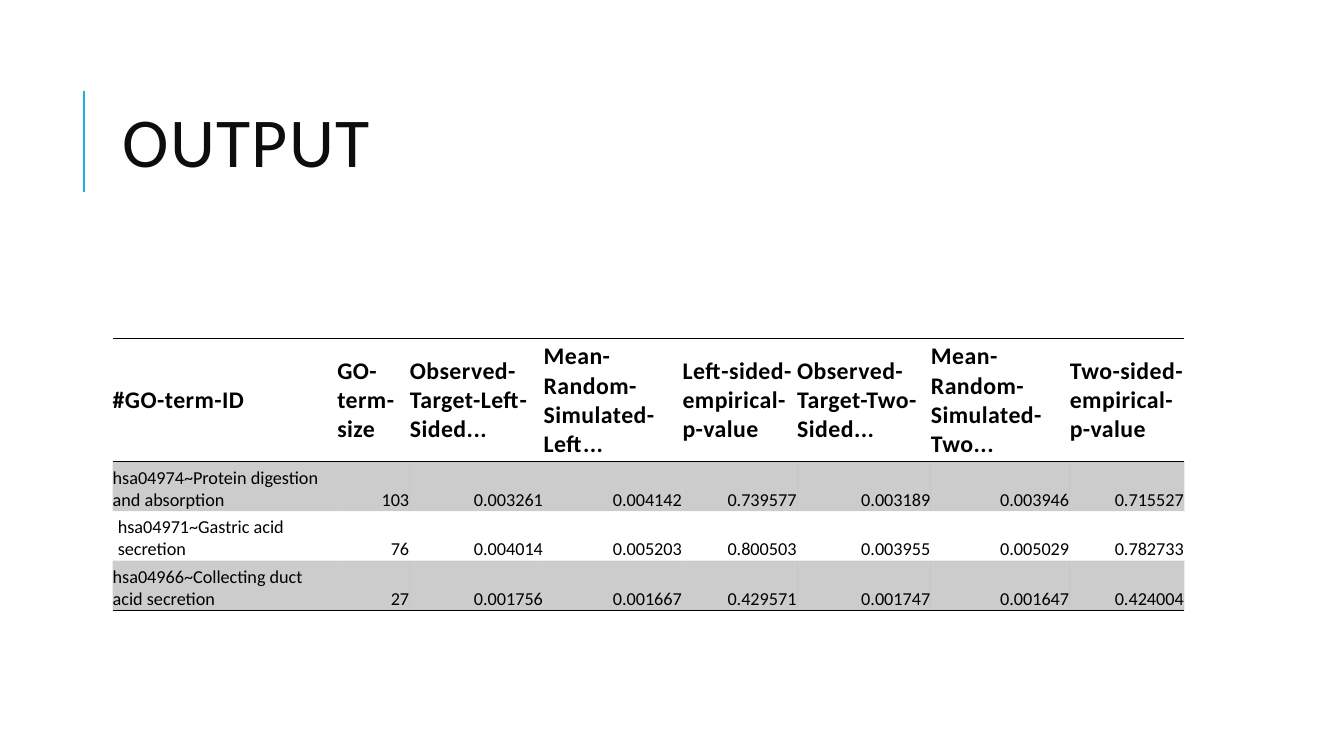
from lxml import etree
from pptx import Presentation
from pptx.dml.color import RGBColor
from pptx.enum.shapes import MSO_CONNECTOR
from pptx.enum.text import MSO_ANCHOR, PP_ALIGN
from pptx.oxml.ns import qn
from pptx.util import Cm, Pt

LINE = MSO_CONNECTOR.STRAIGHT
MIDDLE, BOTTOM = MSO_ANCHOR.MIDDLE, MSO_ANCHOR.BOTTOM
LEFT, RIGHT = PP_ALIGN.LEFT, PP_ALIGN.RIGHT
PLAIN = "{2D5ABB26-0587-4C30-8999-92F81FD0307C}"  # no style, no grid

TITLE = "OUTPUT"
HEAD = ["#GO-term-ID", "GO-term-size", "Observed-Target-Left-Sided...",
        "Mean-Random-Simulated-Left...", "Left-sided-empirical-p-value",
        "Observed-Target-Two-Sided...", "Mean-Random-Simulated-Two...",
        "Two-sided-empirical-p-value"]
TERMS = [
    ("hsa04974~Protein digestion and absorption", "103", "0.003261", "0.004142",
     "0.739577", "0.003189", "0.003946", "0.715527"),
    ("hsa04971~Gastric acid secretion", "76", "0.004014", "0.005203",
     "0.800503", "0.003955", "0.005029", "0.782733"),
    ("hsa04966~Collecting duct acid secretion", "27", "0.001756", "0.001667",
     "0.429571", "0.001747", "0.001647", "0.424004"),
]
COLORS = {"accent": "1CADE4", "title": "0D0D0D", "black": "000000"}
TRIO = [3.37, 3.5, 2.89]
WIDTHS = [5.66, 1.83] + TRIO * 2
HEIGHTS = [3.1] + [1.25] * len(TERMS)
X, WIDE = 2.84, 27
FORMATS = {
    "title": {"size": Pt(50), "bold": False},
    "head": {"size": Pt(17), "bold": True},
    "body": {"size": Pt(13), "bold": False},
}


def rgb(name):
    return RGBColor.from_string(COLORS[name])


def write(frame, text, kind, color, space=0, align=LEFT):
    """Fill the first paragraph; space is letter spacing in 1/100 pt."""
    par = frame.paragraphs[0]
    par.alignment = align
    run = par.add_run()
    run.text = text
    run.font.name = "Calibri"
    run.font.color.rgb = rgb(color)
    for key, value in FORMATS[kind].items():
        setattr(run.font, key, value)
    run.font._element.set("spc", str(space))
    return par


def shade(cell):
    """Fill the cell with black at 20 % opacity."""
    cell.fill.solid()
    cell.fill.fore_color.rgb = rgb("black")
    tone = cell._tc.tcPr.find(".//" + qn("a:srgbClr"))
    etree.SubElement(tone, qn("a:alpha"), val="20000")


def rule(cell, sides):
    """Draw 1 pt borders; they must stand before the fill."""
    props = cell._tc.get_or_add_tcPr()
    for spot, side in enumerate(sides):
        line = etree.Element(qn("a:ln" + side), w=str(Pt(1)))
        fill = etree.SubElement(line, qn("a:solidFill"))
        etree.SubElement(fill, qn("a:srgbClr"), val=COLORS["black"])
        props.insert(spot, line)


def add_title(slide):
    bar = slide.shapes.add_connector(LINE, Cm(2.12), Cm(4.83), Cm(2.12), Cm(2.29))
    bar.line.color.rgb = rgb("accent")
    bar.line.width = Pt(1.5)
    etree.SubElement(bar._element.spPr, qn("a:effectLst"))
    frame = slide.shapes.add_textbox(Cm(X), Cm(1.63), Cm(WIDE), Cm(4.17)).text_frame
    frame.word_wrap = True
    frame.vertical_anchor = MIDDLE
    write(frame, TITLE, "title", "title", 100).line_spacing = 0.8


def add_terms(slide):
    rows = [HEAD] + TERMS
    table = slide.shapes.add_table(len(rows), len(HEAD), Cm(X), Cm(8.53),
                                   Cm(WIDE), Cm(sum(HEIGHTS))).table
    table._tbl.tblPr.find(qn("a:tableStyleId")).text = PLAIN
    table.horz_banding = False
    for col, width in zip(table.columns, WIDTHS):
        col.width = Cm(width)
    for r, (row, height) in enumerate(zip(rows, HEIGHTS)):
        table.rows[r].height = Cm(height)
        head, band = r == 0, r % 2 == 1
        sides = "TB" if head else "B" if r == len(TERMS) else ""
        layout = {
            "margin_left": Cm(0 if head or band else 0.13),
            "margin_top": Cm(0.02),
            "margin_right": Cm(0.02),
            "margin_bottom": Cm(0),
            "vertical_anchor": MIDDLE if head else BOTTOM,
        }
        for c, text in enumerate(row):
            cell = table.cell(r, c)
            for key, value in layout.items():
                setattr(cell, key, value)
            if band:
                shade(cell)
            else:
                cell.fill.background()
            rule(cell, sides)
            write(cell.text_frame, text, "head" if head else "body", "black",
                  30 if head else 0, LEFT if head or c == 0 else RIGHT)


def main():
    deck = Presentation()
    deck.slide_width, deck.slide_height = Cm(33.87), Cm(19.05)
    slide = deck.slides.add_slide(deck.slide_layouts[6])
    add_title(slide)
    add_terms(slide)
    deck.save("out.pptx")


if __name__ == "__main__":
    main()
